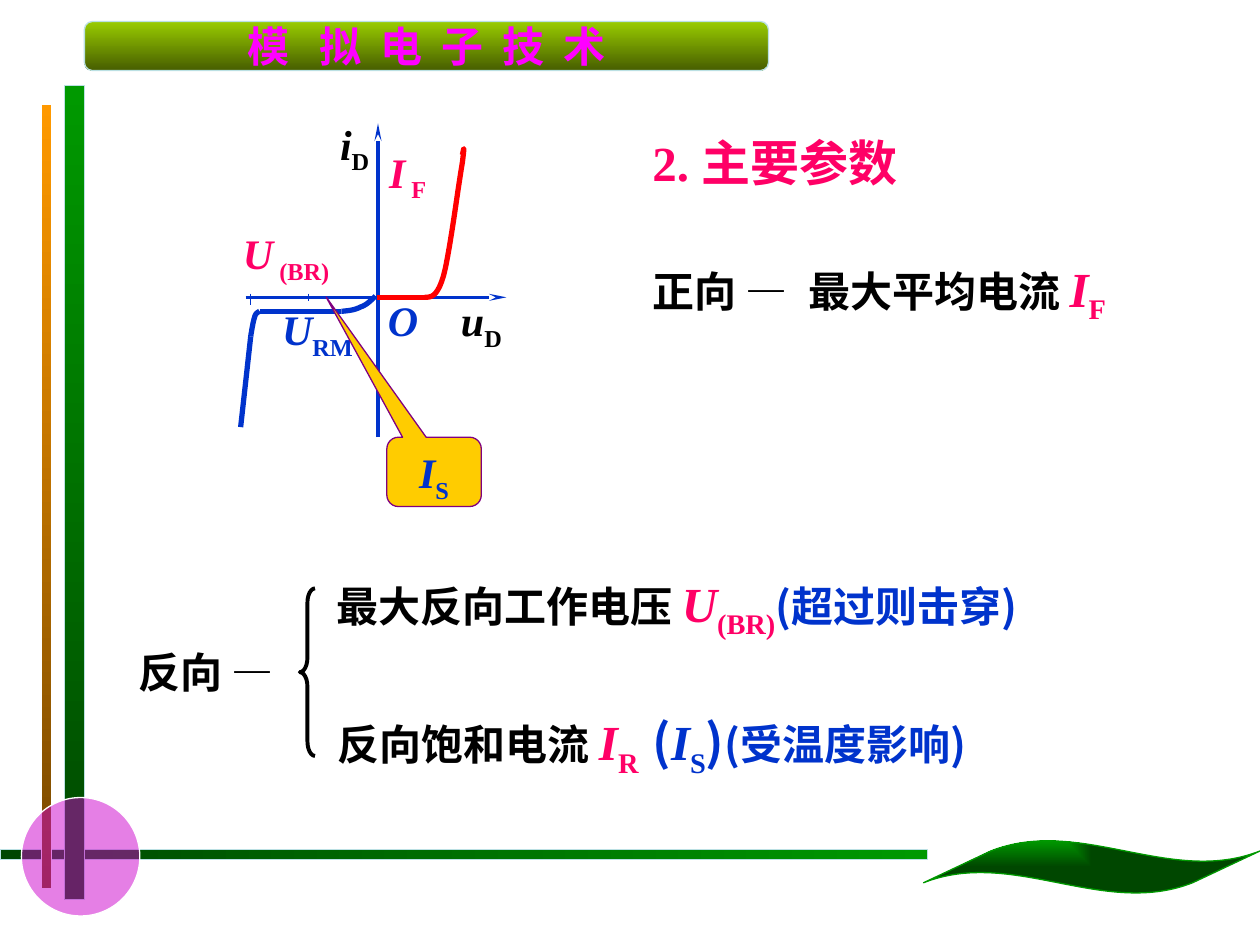
from dataclasses import dataclass

from lxml.etree import SubElement
from pptx import Presentation
from pptx.dml.color import RGBColor
from pptx.enum.shapes import MSO_CONNECTOR, MSO_SHAPE
from pptx.enum.text import MSO_ANCHOR, MSO_AUTO_SIZE, PP_ALIGN
from pptx.oxml.ns import qn
from pptx.util import Inches, Pt

BLACK = RGBColor(0x00, 0x00, 0x00)
WHITE = RGBColor(0xFF, 0xFF, 0xFF)
BLUE = RGBColor(0x00, 0x33, 0xCC)
RED = RGBColor(0xFF, 0x00, 0x00)
PINK = RGBColor(0xFF, 0x00, 0x66)
MAGENTA = RGBColor(0xFF, 0x00, 0xFF)
VIOLET = RGBColor(0xCC, 0x00, 0xCC)
PURPLE = RGBColor(0x80, 0x00, 0x80)
GOLD = RGBColor(0xFF, 0xCC, 0x00)
ORANGE = RGBColor(0xFF, 0x99, 0x00)
BROWN = RGBColor(0x76, 0x47, 0x00)
LIME = RGBColor(0x99, 0xCC, 0x00)
OLIVE = RGBColor(0x47, 0x5E, 0x00)
GREEN = RGBColor(0x00, 0x99, 0x00)
DARK_GREEN = RGBColor(0x00, 0x47, 0x00)
PALE = RGBColor(0xBB, 0xE0, 0xE3)
SERIF = "Times New Roman"
SANS = "Noto Sans CJK SC"


@dataclass
class Box:
    left: float
    top: float
    width: float
    height: float

    def inner(self, x, y, width, height):
        return Box(self.left + x, self.top + y, width, height)

    def point(self, x, y):
        return Inches(self.left + x), Inches(self.top + y)

    def lengths(self):
        return [Inches(v) for v in (self.left, self.top, self.width, self.height)]


def add_run(paragraph, text, color=BLACK, size=24, font=SERIF, italic=False, sub=False, spacing=0):
    run = paragraph.add_run()
    run.text = text
    run.font.size = Pt(size)
    run.font.bold = True
    run.font.italic = italic
    run.font.color.rgb = color
    run.font.name = font
    properties = run.font._element
    SubElement(properties, qn("a:ea")).set("typeface", SANS)
    if sub:
        properties.set("baseline", "-25000")
    if spacing:
        properties.set("spc", str(int(spacing * 100)))


def add_symbol(paragraph, letter, index, color, size=24):
    add_run(paragraph, letter, color, size, italic=True)
    add_run(paragraph, index, color, size, sub=True)


def add_text(slide, box, align=PP_ALIGN.LEFT):
    frame = slide.shapes.add_textbox(*box.lengths()).text_frame
    frame.word_wrap = True
    frame.auto_size = MSO_AUTO_SIZE.SHAPE_TO_FIT_TEXT
    frame.paragraphs[0].alignment = align
    return frame.paragraphs[0]


def add_preset(slide, preset, box, outline, weight=0.75, adjustments=()):
    shape = slide.shapes.add_shape(preset, *box.lengths())
    shape.shadow.inherit = False
    shape.line.color.rgb = outline
    shape.line.width = Pt(weight)
    for index, value in enumerate(adjustments):
        shape.adjustments[index] = value
    return shape


def fill_gradient(shape, start, end, angle=270):
    shape.fill.gradient()
    shape.fill.gradient_angle = angle
    for stop, color, position in zip(shape.fill.gradient_stops, (start, end), (0, 1)):
        stop.color.rgb = color
        stop.position = position


def add_line(slide, box, start, end, color=BLUE, weight=3, arrow=False):
    line = slide.shapes.add_connector(MSO_CONNECTOR.STRAIGHT, *box.point(*start), *box.point(*end))
    line.line.color.rgb = color
    line.line.width = Pt(weight)
    if arrow:
        tip = SubElement(line.line._get_or_add_ln(), qn("a:tailEnd"))
        for key, value in (("type", "stealth"), ("w", "sm"), ("len", "lg")):
            tip.set(key, value)
    SubElement(line._element.spPr, qn("a:effectLst"))


def bezier(p0, p1, p2, p3, steps=10):
    for t in (step / steps for step in range(1, steps + 1)):
        s = 1 - t
        yield tuple(s**3 * a + 3 * s * s * t * b + 3 * s * t * t * c + t**3 * d
                    for a, b, c, d in zip(p0, p1, p2, p3))


def add_curve(slide, box, controls, color):
    points = [box.point(*control) for control in controls]
    route = [p for i in range(0, len(points) - 1, 3) for p in bezier(*points[i:i + 4])]
    builder = slide.shapes.build_freeform(*points[0])
    builder.add_line_segments(route, close=False)
    curve = builder.convert_to_shape()
    curve.shadow.inherit = False
    curve.fill.background()
    curve.line.color.rgb = color
    curve.line.width = Pt(3)


def add_frame(slide, box):
    floor = add_preset(slide, MSO_SHAPE.RECTANGLE, box.inner(0, 6.74, 7.36, 0.08), PALE)
    fill_gradient(floor, DARK_GREEN, GREEN, 0)
    green_bar = add_preset(slide, MSO_SHAPE.RECTANGLE, box.inner(0.51, 0.68, 0.16, 6.46), PALE)
    fill_gradient(green_bar, GREEN, DARK_GREEN)
    orange_bar = add_preset(slide, MSO_SHAPE.RECTANGLE, box.inner(0.33, 0.83, 0.08, 6.22), WHITE, 0.5)
    fill_gradient(orange_bar, ORANGE, BROWN)
    disc = add_preset(slide, MSO_SHAPE.OVAL, box.inner(0.17, 6.33, 0.94, 0.94), WHITE)
    disc.fill.solid()
    disc.fill.fore_color.rgb = VIOLET
    tint = disc._element.spPr.find(qn("a:solidFill"))[0]
    SubElement(tint, qn("a:alpha")).set("val", "50000")
    leaf = add_preset(slide, MSO_SHAPE.WAVE, box.inner(7.33, 6.67, 2.67, 0.42), GREEN,
                      adjustments=(0.206, -0.1))
    fill_gradient(leaf, GREEN, DARK_GREEN)
    gradient = leaf._element.spPr.find(qn("a:gradFill"))
    gradient.remove(gradient.find(qn("a:lin")))
    shade = SubElement(gradient, qn("a:path"))
    shade.set("path", "rect")
    focus = SubElement(shade, qn("a:fillToRect"))
    focus.set("r", "100000")
    focus.set("b", "100000")


def add_course_title(slide, box):
    banner = add_preset(slide, MSO_SHAPE.FLOWCHART_ALTERNATE_PROCESS, box, PALE)
    fill_gradient(banner, LIME, OLIVE)
    frame = banner.text_frame
    frame.word_wrap = False
    frame.vertical_anchor = MSO_ANCHOR.MIDDLE
    title = frame.paragraphs[0]
    title.alignment = PP_ALIGN.CENTER
    add_run(title, "模 ", MAGENTA, font=SANS, spacing=5.8)
    add_run(title, "拟 电 子 技 术", MAGENTA, font=SANS, spacing=2.7)


def add_diode_curve(slide, box):
    add_line(slide, box, (0.15, 1.46), (2.22, 1.46), weight=2, arrow=True)
    add_line(slide, box, (1.2, 2.57), (1.2, 0.08), weight=2, arrow=True)
    add_line(slide, box, (0.26, 1.57), (0.91, 1.57))
    add_curve(slide, box, [(0.91, 1.57), (0.94, 1.57), (1.01, 1.56), (1.03, 1.55),
                           (1.06, 1.54), (1.05, 1.54), (1.08, 1.53),
                           (1.12, 1.51), (1.15, 1.48), (1.18, 1.45)], BLUE)
    add_curve(slide, box, [(0.26, 1.57), (0.25, 1.58), (0.23, 1.58), (0.22, 1.62),
                           (0.21, 1.65), (0.2, 1.71), (0.19, 1.77)], BLUE)
    add_line(slide, box, (0.19, 1.77), (0.11, 2.49))
    add_line(slide, box, (0.19, 1.43), (0.19, 1.52), weight=0.75)
    add_line(slide, box, (0.65, 1.43), (0.65, 1.49), weight=0.75)
    add_curve(slide, box, [(1.57, 1.46), (1.62, 1.46), (1.67, 1.46), (1.72, 1.29),
                           (1.77, 1.11), (1.84, 0.55), (1.87, 0.39),
                           (1.89, 0.23), (1.88, 0.28), (1.87, 0.33)], RED)
    add_line(slide, box, (1.19, 1.46), (1.57, 1.46), RED)

    labels = [("i", "D", BLACK, (0.68, -0.01, 0.67, 0.5), PP_ALIGN.CENTER),
              ("u", "D", BLACK, (1.76, 1.39, 0.7, 0.5), PP_ALIGN.LEFT),
              ("U", " (BR)", PINK, (0.03, 0.86, 1.32, 0.5), PP_ALIGN.LEFT),
              ("I", " F", PINK, (1.19, 0.21, 0.6, 0.5), PP_ALIGN.LEFT),
              ("U", "RM", BLUE, (0.34, 1.46, 1.01, 0.5), PP_ALIGN.LEFT)]
    for letter, index, color, place, align in labels:
        add_symbol(add_text(slide, box.inner(*place), align), letter, index, color)
    origin = add_text(slide, box.inner(1.18, 1.39, 0.5, 0.5))
    add_run(origin, "O", BLUE, italic=True)

    saturation = add_preset(slide, MSO_SHAPE.ROUNDED_RECTANGULAR_CALLOUT,
                            box.inner(1.27, 2.57, 0.75, 0.55), PURPLE,
                            adjustments=(-1.143, -2.525, 0.167))
    saturation.fill.solid()
    saturation.fill.fore_color.rgb = GOLD
    saturation.text_frame.vertical_anchor = MSO_ANCHOR.TOP
    saturation.text_frame.paragraphs[0].alignment = PP_ALIGN.CENTER
    add_symbol(saturation.text_frame.paragraphs[0], "I", "S", BLUE)


def add_forward_parameters(slide, box):
    add_run(add_text(slide, box.inner(0, 0, 2.51, 0.57)), "2. 主要参数", PINK, 28)
    forward = add_text(slide, box.inner(0, 1, 4.21, 0.57))
    add_run(forward, "正向 —")
    add_run(forward, " ", spacing=6)
    add_run(forward, "最大平均电流 ")
    add_symbol(forward, "I", "F", PINK, 28)


def add_remark(paragraph, remark):
    add_run(paragraph, "(", BLUE, font=SANS)
    add_run(paragraph, remark, BLUE)
    add_run(paragraph, ")", BLUE, font=SANS)


def add_reverse_parameters(slide, box):
    add_run(add_text(slide, box.inner(0, 0.58, 1.56, 0.5)), "反向 —")
    voltage = add_text(slide, box.inner(1.57, 0, 5.85, 0.57))
    add_run(voltage, "最大反向工作电压 ")
    add_symbol(voltage, "U", "(BR)", PINK, 28)
    add_remark(voltage, "超过则击穿")
    current = add_text(slide, box.inner(1.58, 1.1, 5.92, 0.57))
    add_run(current, "反向饱和电流 ")
    add_symbol(current, "I", "R", PINK, 28)
    add_run(current, " ", PINK, 28, sub=True, spacing=4)
    add_run(current, "(", BLUE, 28, SANS)
    add_symbol(current, "I", "S", BLUE, 28)
    add_run(current, ")", BLUE, 28, SANS)
    add_remark(current, "受温度影响")
    brace = add_preset(slide, MSO_SHAPE.LEFT_BRACE, box.inner(1.38, 0.17, 0.12, 1.33),
                       BLACK, 2.25, (0.955, 0.5))
    brace.fill.background()


def main():
    presentation = Presentation()
    presentation.slide_width = Inches(10)
    presentation.slide_height = Inches(7.5)
    slide = presentation.slides.add_slide(presentation.slide_layouts[6])
    add_frame(slide, Box(0, 0, 10, 7.5))
    add_course_title(slide, Box(0.67, 0.17, 5.43, 0.39))
    add_diode_curve(slide, Box(1.8, 0.9, 2.5, 3.12))
    add_forward_parameters(slide, Box(5.08, 1, 4.21, 1.57))
    add_reverse_parameters(slide, Box(1, 4.5, 7.5, 1.67))
    presentation.save("out.pptx")


if __name__ == "__main__":
    main()
